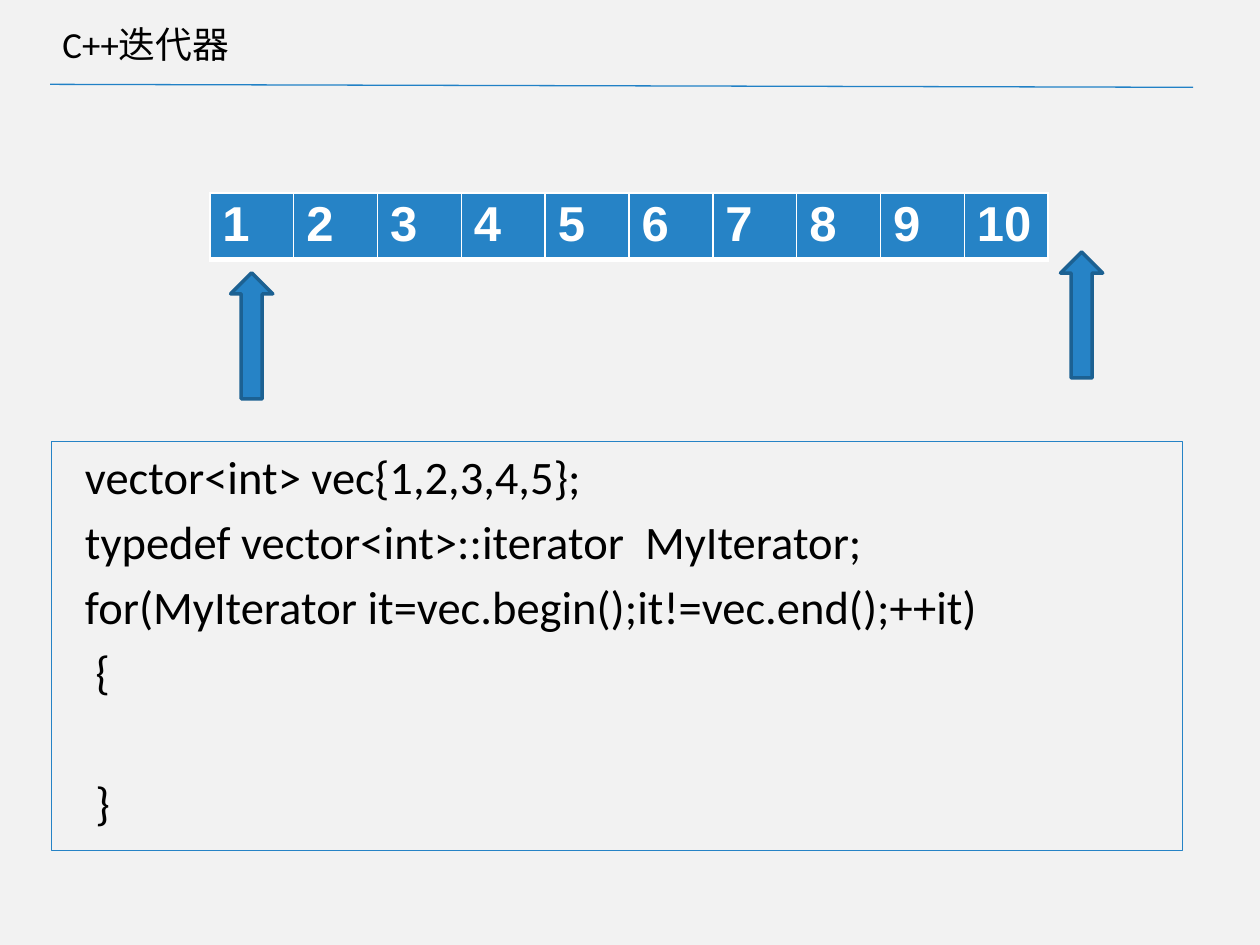
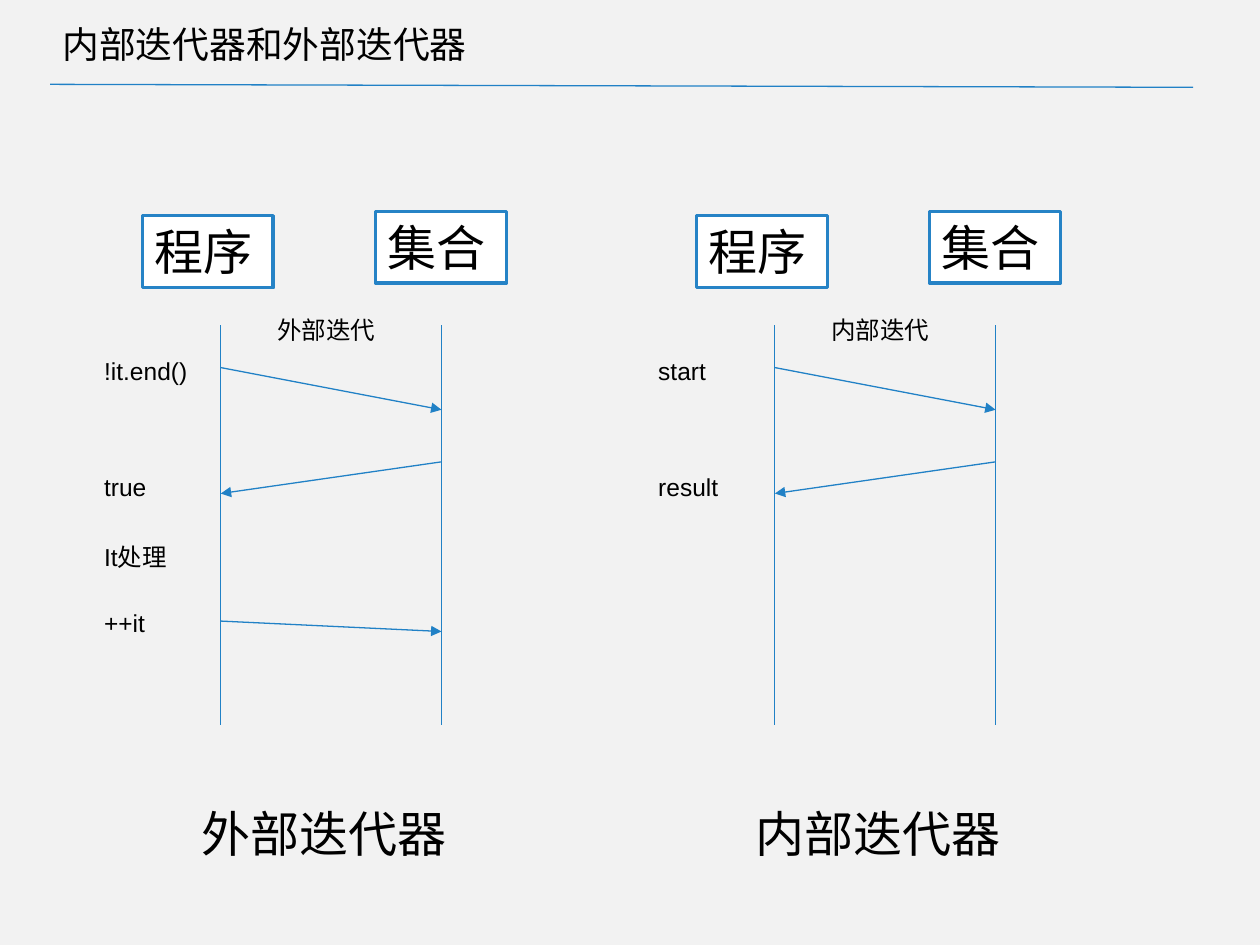
from lxml import etree
from pptx import Presentation
from pptx.dml.color import RGBColor
from pptx.enum import shapes, text
from pptx.oxml import ns
from pptx.util import Cm, Pt

BACKGROUND = RGBColor(0xF2, 0xF2, 0xF2)
BLUE = RGBColor(0x26, 0x83, 0xC6)
LINE_BLUE = RGBColor(0x21, 0x81, 0xC6)
DARK_BLUE = RGBColor(0x1C, 0x61, 0x92)
WHITE = RGBColor(0xFF, 0xFF, 0xFF)
BLACK = RGBColor(0x00, 0x00, 0x00)

CODE = [
    "  vector<int> vec{1,2,3,4,5};",
    "  typedef vector<int>::iterator  MyIterator;",
    "  for(MyIterator it=vec.begin();it!=vec.end();++it)",
    "   {",
    "   }",
]
LIFELINE_GAP = 4.45
REQUEST, REPLY, ADVANCE = (7.41, 8.26), (9.31, 9.95), (12.52, 12.73)


def style_font(p, size, name="Arial", color=BLACK, bold=False):
    p.font.size = Pt(size)
    p.font.name = name
    p.font.color.rgb = color
    p.font.bold = bold


def add_text(s, content, x, y, w, h, size, name="Arial"):
    sp = s.shapes.add_textbox(Cm(x), Cm(y), Cm(w), Cm(h))
    tf = sp.text_frame
    tf.word_wrap = True
    tf.text = content
    style_font(tf.paragraphs[0], size, name)
    return sp


def add_line(s, x1, y1, x2, y2, arrow=False):
    line = s.shapes.add_connector(
        shapes.MSO_CONNECTOR.STRAIGHT, Cm(x1), Cm(y1), Cm(x2), Cm(y2))
    line.line.color.rgb = LINE_BLUE
    line.line.width = Pt(0.75)
    if arrow:
        etree.SubElement(line.line._get_or_add_ln(), ns.qn("a:tailEnd"), type="triangle")
    etree.SubElement(line._element.spPr, ns.qn("a:effectLst"))


def add_shape(s, kind, x, y, w, h, fill, outline, width):
    sp = s.shapes.add_shape(kind, Cm(x), Cm(y), Cm(w), Cm(h))
    sp.shadow.inherit = False
    if fill is None:
        sp.fill.background()
    else:
        sp.fill.solid()
        sp.fill.fore_color.rgb = fill
    sp.line.color.rgb = outline
    sp.line.width = Pt(width)
    return sp


def add_text_shape(s, lines, x, y, w, h, size, fill, width):
    """Outlined rectangle with Calibri lines set from its top left corner."""
    sp = add_shape(s, shapes.MSO_SHAPE.RECTANGLE, x, y, w, h, fill, BLUE, width)
    tf = sp.text_frame
    tf.word_wrap = True
    tf.vertical_anchor = text.MSO_ANCHOR.TOP
    for i, line in enumerate(lines):
        p = tf.paragraphs[0] if i == 0 else tf.add_paragraph()
        p.text = line
        p.alignment = text.PP_ALIGN.LEFT
        style_font(p, size, "Calibri")
        if i:
            p.space_before = Pt(size * 0.2)
    return sp


def set_borders(cell):
    tcPr = cell._tc.get_or_add_tcPr()
    for i, (side, width) in enumerate([("L", 1), ("R", 1), ("T", 1), ("B", 3)]):
        ln = etree.Element(ns.qn(f"a:ln{side}"), w=str(Pt(width)))
        fill = etree.SubElement(ln, ns.qn("a:solidFill"))
        etree.SubElement(fill, ns.qn("a:srgbClr"), val=str(WHITE))
        tcPr.insert(i, ln)


def add_array(s, values, x, y, cell_width, height):
    """One-row table that shows the elements of a container."""
    table = s.shapes.add_table(
        1, len(values), Cm(x), Cm(y), Cm(cell_width * len(values)), Cm(height)).table
    for column, cell, value in zip(table.columns, table.rows[0].cells, values):
        column.width = Cm(cell_width)
        cell.text = str(value)
        cell.margin_top = cell.margin_bottom = Cm(0.08)
        cell.fill.solid()
        cell.fill.fore_color.rgb = BLUE
        set_borders(cell)
        style_font(cell.text_frame.paragraphs[0], 28, color=WHITE, bold=True)


def add_sequence(s, x, caption, heading, labels, messages):
    """Sequence diagram; x is the lifeline of the program."""
    right = x + LIFELINE_GAP
    for lifeline in (x, right):
        add_line(s, lifeline, 6.56, lifeline, 14.61)
    for i, (start, end) in enumerate(messages):
        x1, x2 = (right, x) if i == 1 else (x, right)
        add_line(s, x1, start, x2, end, arrow=True)
    for name, left, top in [("程序", x - 1.58, 4.35), ("集合", x + 3.12, 4.26)]:
        add_text_shape(s, [name], left, top, 2.64, 1.45, 28, WHITE, 2)
    add_text(s, heading, x + 0.89, 6.22, 2.64, 0.86, 14)
    for label, top in labels:
        add_text(s, label, x - 2.6, top, 2.64, 0.86, 14)
    add_text(s, caption, x - 0.64, 16.08, 5.92, 1.45, 28)


def add_slide(prs, title):
    s = prs.slides.add_slide(prs.slide_layouts[6])
    s.background.fill.solid()
    s.background.fill.fore_color.rgb = BACKGROUND
    add_line(s, 1.01, 1.7, 24.05, 1.76)
    sp = add_text(s, title, 1.01, 0.2, 21.9, 1.35, 21, "Calibri")
    sp.text_frame.vertical_anchor = text.MSO_ANCHOR.MIDDLE
    return s


def build_iterator_slide(prs):
    s = add_slide(prs, "C++迭代器")
    add_array(s, range(1, 11), 4.23, 3.89, 1.69, 1.32)
    for x, y in [(4.65, 5.5), (21.38, 5.08)]:
        add_shape(s, shapes.MSO_SHAPE.UP_ARROW, x, y, 0.85, 2.54, BLUE, DARK_BLUE, 2)
    code = add_text_shape(s, CODE, 1.04, 8.9, 22.8, 8.25, 26.6, None, 0.75)
    code.text_frame.paragraphs[-1].space_before = Pt(43)  # room for the loop body


def build_comparison_slide(prs):
    s = add_slide(prs, "内部迭代器和外部迭代器")
    add_sequence(
        s, 4.45, "外部迭代器", "外部迭代",
        [("!it.end()", 7.06), ("true", 9.4), ("It处理", 10.8), ("++it", 12.14)],
        [REQUEST, REPLY, ADVANCE])
    add_sequence(
        s, 15.62, "内部迭代器", "内部迭代",
        [("start", 7.06), ("result", 9.4)],
        [REQUEST, REPLY])


def main():
    prs = Presentation()
    prs.slide_width, prs.slide_height = Cm(25.4), Cm(19.05)
    build_iterator_slide(prs)
    build_comparison_slide(prs)
    prs.save("out.pptx")


if __name__ == "__main__":
    main()
